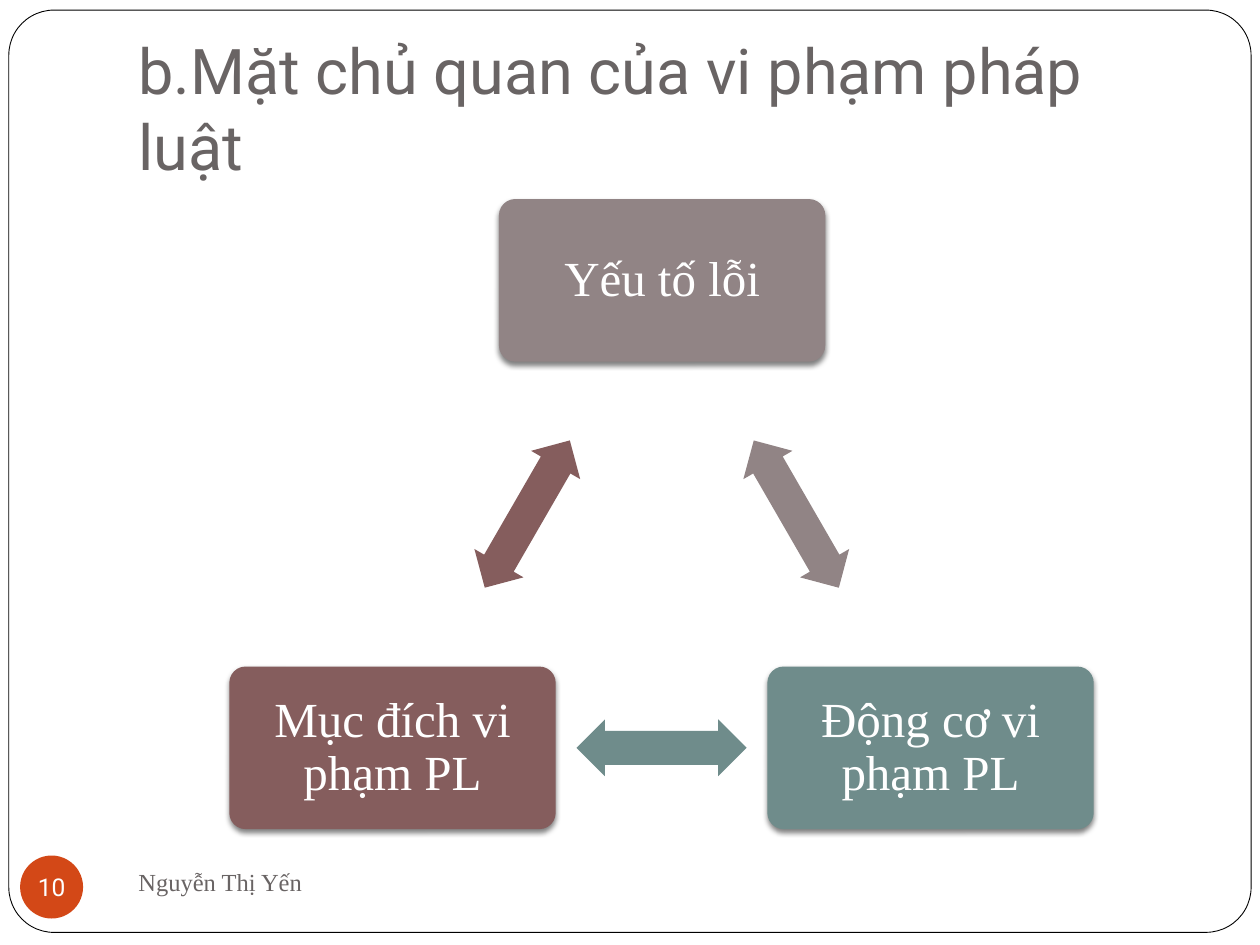
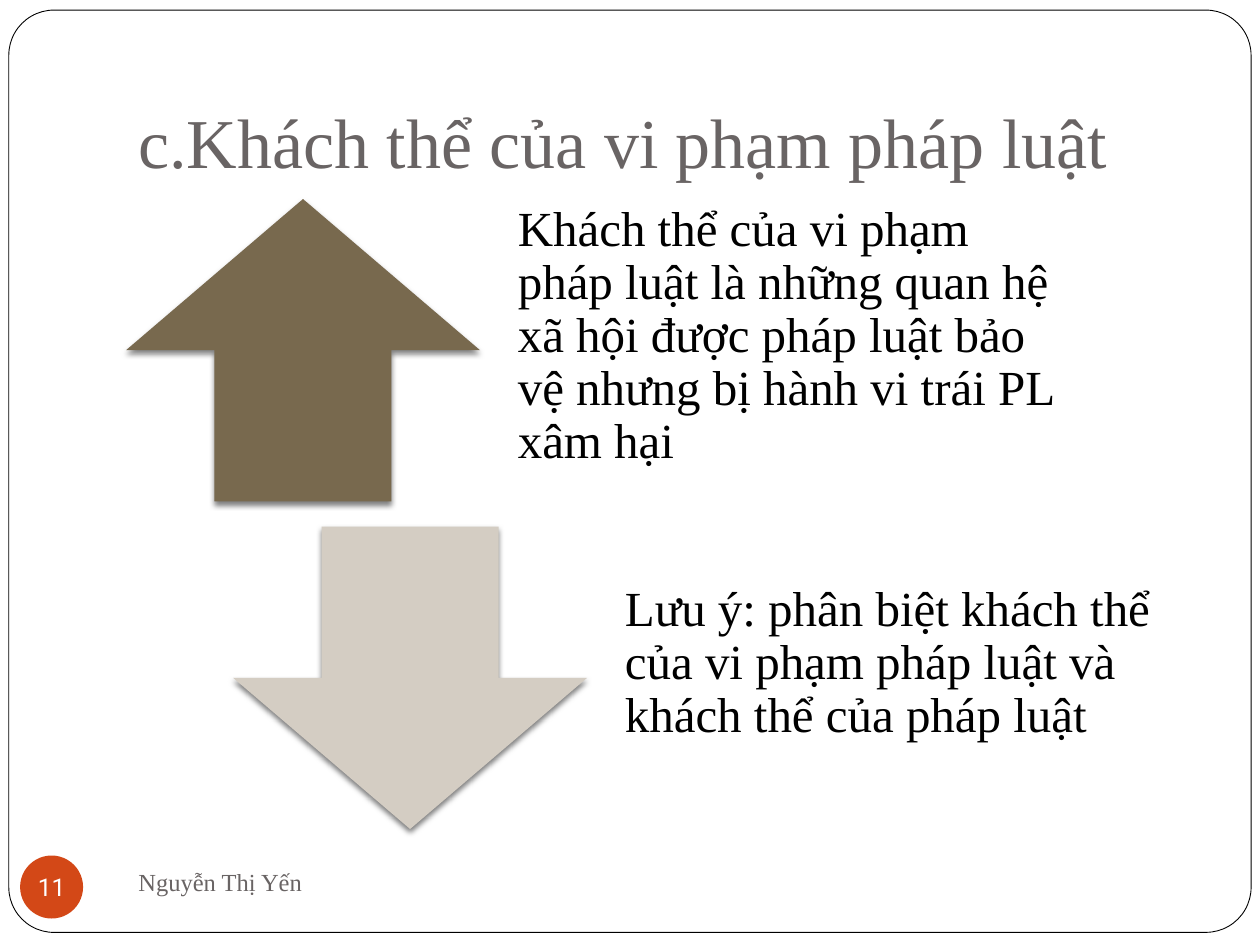
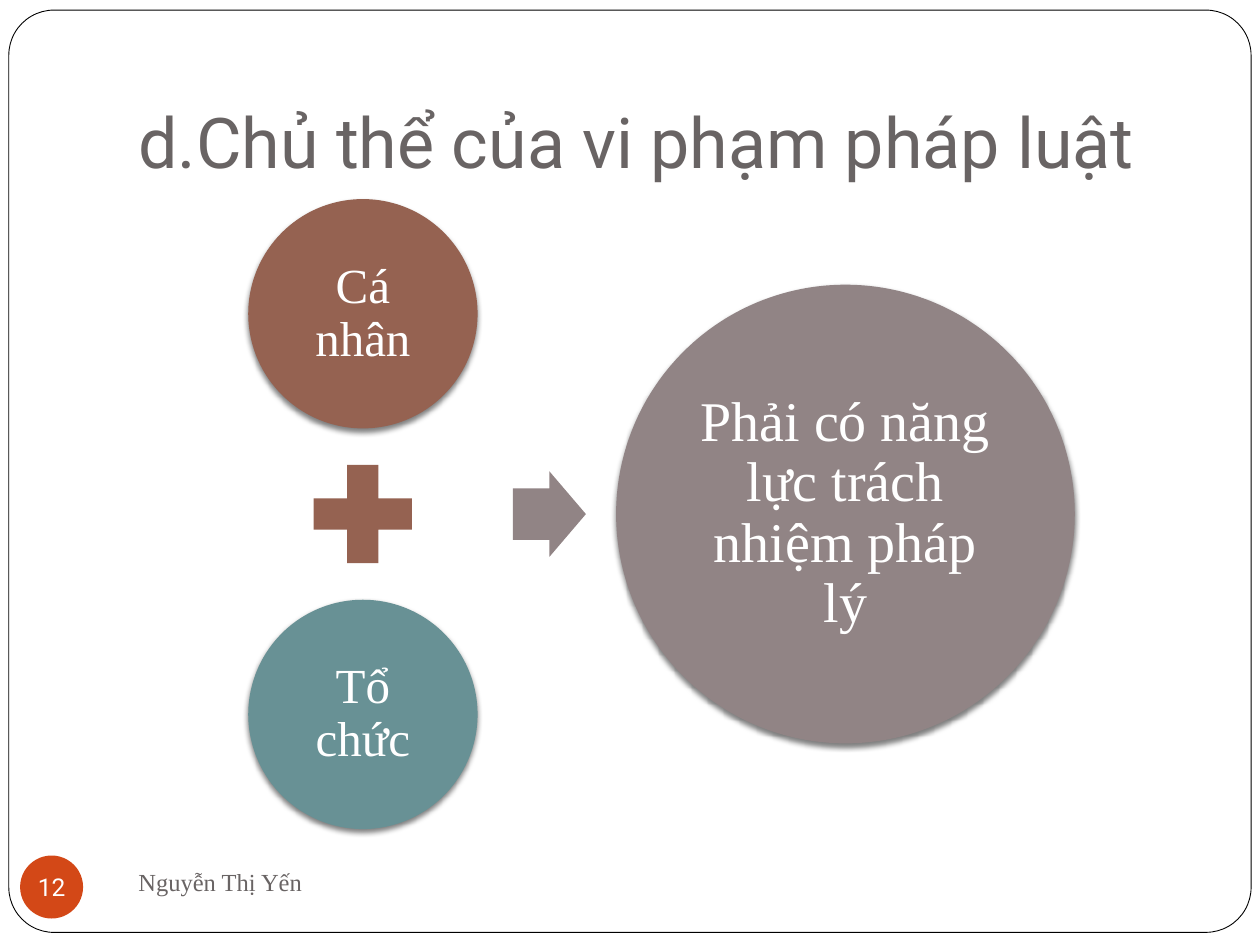
from lxml import etree
from pptx import Presentation
from pptx.dml.color import RGBColor
from pptx.enum.shapes import MSO_SHAPE
from pptx.enum.text import MSO_ANCHOR, PP_ALIGN
from pptx.oxml.ns import qn
from pptx.util import Inches, Pt

WHITE = RGBColor(0xFF, 0xFF, 0xFF)
BLACK = RGBColor(0x00, 0x00, 0x00)
GREY = RGBColor(0x69, 0x64, 0x64)
ORANGE = RGBColor(0xD3, 0x48, 0x17)
MAUVE = RGBColor(0x91, 0x84, 0x85)
GREEN = RGBColor(0x6F, 0x8C, 0x8B)
WINE = RGBColor(0x85, 0x5D, 0x5D)
OLIVE = RGBColor(0x78, 0x69, 0x4E)
SAND = RGBColor(0xD4, 0xCD, 0xC3)
BROWN = RGBColor(0x95, 0x62, 0x51)
TEAL = RGBColor(0x68, 0x91, 0x95)

SANS = "Roboto"
SERIF = "Times New Roman"

ROUND_RECT = MSO_SHAPE.ROUNDED_RECTANGLE
OVAL = MSO_SHAPE.OVAL
DOUBLE_ARROW = MSO_SHAPE.LEFT_RIGHT_ARROW
UP_ARROW = MSO_SHAPE.UP_ARROW
DOWN_ARROW = MSO_SHAPE.DOWN_ARROW
RIGHT_ARROW = MSO_SHAPE.RIGHT_ARROW
PLUS = MSO_SHAPE.MATH_PLUS
LEFT = PP_ALIGN.LEFT
CENTER = PP_ALIGN.CENTER
MIDDLE = MSO_ANCHOR.MIDDLE
BOTTOM = MSO_ANCHOR.BOTTOM


def add_shape(s, kind, at, fill, adj=(), shadow=False):
    sp = s.shapes.add_shape(kind, *map(Inches, at))
    for i, value in enumerate(adj):
        sp.adjustments[i] = value
    sp.fill.solid()
    sp.fill.fore_color.rgb = fill
    sp.line.fill.background()
    sp.shadow.inherit = False
    if shadow:
        effects = sp._element.spPr.find(qn("a:effectLst"))
        outer = etree.SubElement(effects, qn("a:outerShdw"), blurRad=str(Pt(3)),
                                 dist=str(Pt(2)), dir="5400000", rotWithShape="0")
        color = etree.SubElement(outer, qn("a:srgbClr"), val=str(BLACK))
        etree.SubElement(color, qn("a:alpha"), val="50000")
    return sp


def write(sp, text, size, font, color, align=LEFT, anchor=MIDDLE,
          insets=(0.1, 0.05, 0.1, 0.05), spacing=None, wrap=True):
    tf = sp.text_frame
    tf.word_wrap = wrap
    tf.vertical_anchor = anchor
    tf.margin_left, tf.margin_top, tf.margin_right, tf.margin_bottom = map(Inches, insets)
    p = tf.paragraphs[0]
    p.alignment = align
    if spacing:
        p.line_spacing = spacing
    r = p.add_run()
    r.text = text
    r.font.size = Pt(size)
    r.font.name = font
    r.font.color.rgb = color


prs = Presentation()
prs.slide_width = Inches(10)
prs.slide_height = Inches(7.5)

titles = [
    ("b.Mặt chủ quan của vi phạm pháp luật", 36, SANS),
    ("c.Khách thể của vi phạm pháp luật", 40, SERIF),
    ("d.Chủ thể của vi phạm pháp luật", 40, SANS),
]
slides = []
for number, (title, size, font) in enumerate(titles, 10):
    s = prs.slides.add_slide(prs.slide_layouts[6])
    slides.append(s)
    frame = add_shape(s, ROUND_RECT, (0.07, 0.08, 9.86, 7.32), WHITE, [0.049])
    frame.line.color.rgb = BLACK
    frame.line.width = Pt(0.5)
    sp = s.shapes.add_textbox(Inches(1), Inches(0.3), Inches(8.5), Inches(1.25))
    write(sp, title, size, font, GREY, anchor=BOTTOM, insets=(0.1, 0.05, 0.1, 0.1))
    sp = s.shapes.add_textbox(Inches(1), Inches(6.75), Inches(4.33), Inches(0.5))
    write(sp, "Nguyễn Thị Yến", 14, SERIF, GREY)
    sp = add_shape(s, OVAL, (0.16, 6.79, 0.5, 0.5), ORANGE)
    write(sp, str(number), 14, SANS, WHITE, CENTER, insets=[0] * 4, wrap=False)

elements_slide, object_slide, subject_slide = slides

node_w, node_h = 2.59, 1.29
arrow_w, arrow_h = 1.35, 0.45
nodes = [
    ("Yếu tố lỗi", 3.96, 1.58, MAUVE),
    ("Động cơ vi phạm PL", 6.09, 5.29, GREEN),
    ("Mục đích vi phạm PL", 1.82, 5.29, WINE),
]
for i, (text, x, y, color) in enumerate(nodes):
    sp = add_shape(elements_slide, ROUND_RECT, (x, y, node_w, node_h), color, [0.1], True)
    write(sp, text, 28, SERIF, WHITE, CENTER, insets=[0.12] * 4, spacing=0.9)
    next_x, next_y = nodes[(i + 1) % 3][1:3]
    arrow_x = (x + next_x + node_w - arrow_w) / 2
    arrow_y = (y + next_y + node_h - arrow_h) / 2
    sp = add_shape(elements_slide, DOUBLE_ARROW, (arrow_x, arrow_y, arrow_w, arrow_h),
                   color, [0.6, 0.5])
    sp.rotation = 60 + 120 * i

notes = [
    (UP_ARROW, 1, 1.58, OLIVE,
     "Khách thể của vi phạm pháp luật là những quan hệ xã hội được pháp luật bảo vệ "
     "nhưng bị hành vi trái PL xâm hại"),
    (DOWN_ARROW, 1.85, 4.18, SAND,
     "Lưu ý: phân biệt khách thể của vi phạm pháp luật và khách thể của pháp luật"),
]
for kind, x, y, color, text in notes:
    add_shape(object_slide, kind, (x, y, 2.81, 2.4), color, shadow=True)
    sp = object_slide.shapes.add_textbox(Inches(x + 2.89), Inches(y), Inches(4.76), Inches(2.4))
    write(sp, text, 28, SERIF, BLACK, insets=(0.22, 0, 0.22, 0.22), spacing=0.9)

circles = [
    ("Cá nhân", 1.97, 1.58, 1.82, BROWN, 28),
    ("Tổ chức", 1.97, 4.76, 1.82, TEAL, 28),
    ("Phải có năng lực trách nhiệm pháp lý", 4.89, 2.26, 3.64, MAUVE, 32),
]
for text, x, y, diameter, color, size in circles:
    sp = add_shape(subject_slide, OVAL, (x, y, diameter, diameter), color, shadow=True)
    write(sp, text, size, SERIF, WHITE, CENTER, insets=[0.04] * 4, spacing=0.9)
add_shape(subject_slide, PLUS, (2.35, 3.55, 1.06, 1.06), BROWN)
add_shape(subject_slide, RIGHT_ARROW, (4.07, 3.74, 0.58, 0.68), MAUVE, [0.6, 0.5])

prs.save("out.pptx")
